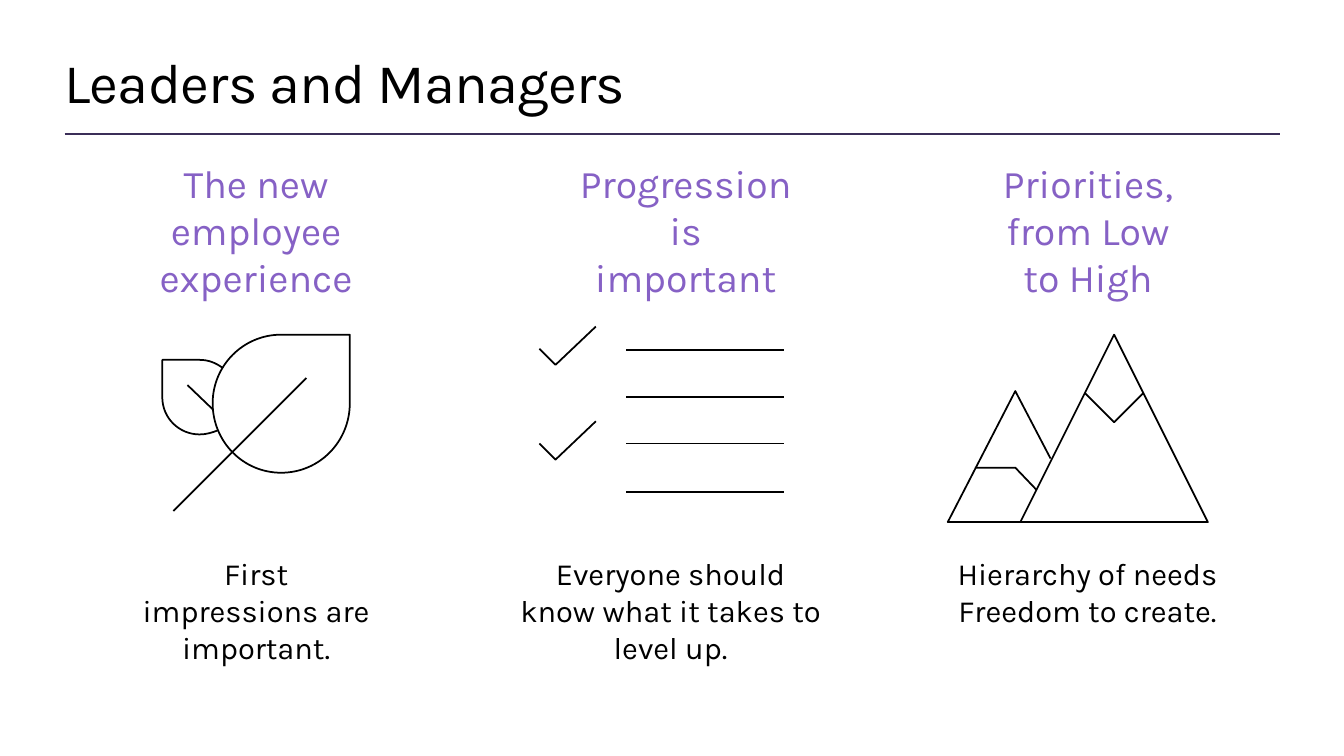
from lxml import etree
from pptx import Presentation
from pptx.dml.color import RGBColor
from pptx.enum.shapes import MSO_CONNECTOR
from pptx.enum.text import MSO_ANCHOR, MSO_AUTO_SIZE, PP_ALIGN
from pptx.oxml.ns import qn
from pptx.util import Inches, Pt

LEFT, CENTER = PP_ALIGN.LEFT, PP_ALIGN.CENTER
TOP, MIDDLE, BOTTOM = MSO_ANCHOR.TOP, MSO_ANCHOR.MIDDLE, MSO_ANCHOR.BOTTOM
FIT = MSO_AUTO_SIZE.SHAPE_TO_FIT_TEXT
STRAIGHT = MSO_CONNECTOR.STRAIGHT
COLORS = {"text": "000000", "heading": "8661C5", "rule": "3B2E58"}


def write(sp, box, text, size, color, anchor, align):
    sp.left, sp.top, sp.width, sp.height = [Inches(v) for v in box]
    tf = sp.text_frame
    frame = {"word_wrap": True, "auto_size": FIT, "vertical_anchor": anchor,
             "margin_left": 0, "margin_right": 0, "margin_top": 0, "margin_bottom": 0}
    for name, value in frame.items():
        setattr(tf, name, value)
    p = tf.paragraphs[0]
    p.alignment = align
    r = p.add_run()
    r.text = text
    for name, value in {"name": "Karla", "size": Pt(size), "bold": False}.items():
        setattr(r.font, name, value)
    r.font.color.rgb = RGBColor.from_string(COLORS[color])
    return r


def draw(strokes, curve_starts=()):
    strokes = [[(Inches(x), Inches(y)) for x, y in stroke] for stroke in strokes]
    builder = s.shapes.build_freeform(*strokes[0][0])
    builder.add_line_segments(strokes[0][1:], close=False)
    for stroke in strokes[1:]:
        builder.move_to(*stroke[0])
        builder.add_line_segments(stroke[1:], close=False)
    sp = builder.convert_to_shape()
    segments = list(sp._element.iter(qn("a:lnTo")))
    for start in curve_starts:
        curve = segments[start]
        curve.tag = qn("a:cubicBezTo")
        for segment in segments[start + 1:start + 3]:
            curve.append(segment[0])
            segment.getparent().remove(segment)
    sp.shadow.inherit = False
    sp.fill.background()
    sp.line.color.rgb = RGBColor.from_string(COLORS["text"])
    sp.line.width = Pt(1.25)


prs = Presentation()
prs.slide_width, prs.slide_height = Inches(13.33), Inches(7.5)
s = prs.slides.add_slide(prs.slide_layouts[5])

r = write(s.shapes.title, (0.64, 0.47, 12.05, 0.67), "Leaders and Managers",
          40, "text", MIDDLE, LEFT)
r.font._element.set("spc", "-50")

rule = s.shapes.add_connector(STRAIGHT, Inches(0.64), Inches(1.33), Inches(12.7), Inches(1.33))
rule.line.color.rgb = RGBColor.from_string(COLORS["rule"])
rule.line.width = Pt(2)
etree.SubElement(rule._element.spPr, qn("a:effectLst"))

columns = [
    ("The new employee experience", 1.32, 2.44,
     "First impressions are important.", 1.32, 2.44, 0.74),
    ("Progression is important", 5.74, 2.12,
     "Everyone should know what it takes to level up.", 5.16, 2.98, 1.11),
    ("Priorities, from Low to High", 9.92, 1.74,
     "Hierarchy of needs Freedom to create.", 9.19, 3.19, 0.74),
]
for heading, head_x, head_w, body, body_x, body_w, body_h in columns:
    head_box = s.shapes.add_textbox(Inches(head_x), Inches(1.57), Inches(head_w), Inches(1.41))
    write(head_box, (head_x, 1.57, head_w, 1.41), heading, 28, "heading", BOTTOM, CENTER)
    body_box = s.shapes.add_textbox(Inches(body_x), Inches(5.5), Inches(body_w), Inches(body_h))
    write(body_box, (body_x, 5.5, body_w, body_h), body, 22, "text", TOP, CENTER)

leaves = [
    [(3.47, 3.32), (3.47, 4),
     (3.47, 4.38), (3.17, 4.69), (2.79, 4.69),
     (2.41, 4.69), (2.11, 4.38), (2.11, 4),
     (2.11, 3.63), (2.41, 3.32), (2.79, 3.32), (3.47, 3.32)],
    [(1.72, 5.07), (3.04, 3.75)],
    [(1.86, 3.82), (2.11, 4.06)],
    [(2.21, 3.65), (2.14, 3.6), (2.07, 3.57), (1.98, 3.57),
     (1.61, 3.57), (1.61, 3.94),
     (1.61, 4.15), (1.78, 4.31), (1.98, 4.31),
     (2.05, 4.31), (2.11, 4.29), (2.16, 4.27)],
]
checklist = [[(6.21, y), (7.78, y)] for y in (3.47, 3.94, 4.4, 4.88)]
checklist += [[(5.35, y), (5.51, y + 0.16), (5.91, y - 0.22)] for y in (3.46, 4.4)]
mountains = [
    [(11.98, 5.18), (11.05, 3.32), (10.12, 5.18), (11.98, 5.18)],
    [(10.16, 5.18), (9.4, 5.18), (10.07, 3.88), (10.42, 4.55)],
    [(11.34, 3.9), (11.05, 4.19), (10.76, 3.9)],
    [(9.67, 4.64), (10.07, 4.64), (10.28, 4.86)],
]
draw(leaves, curve_starts=(1, 4, 7, 13, 18, 21))
draw(checklist)
draw(mountains)

prs.save("out.pptx")
